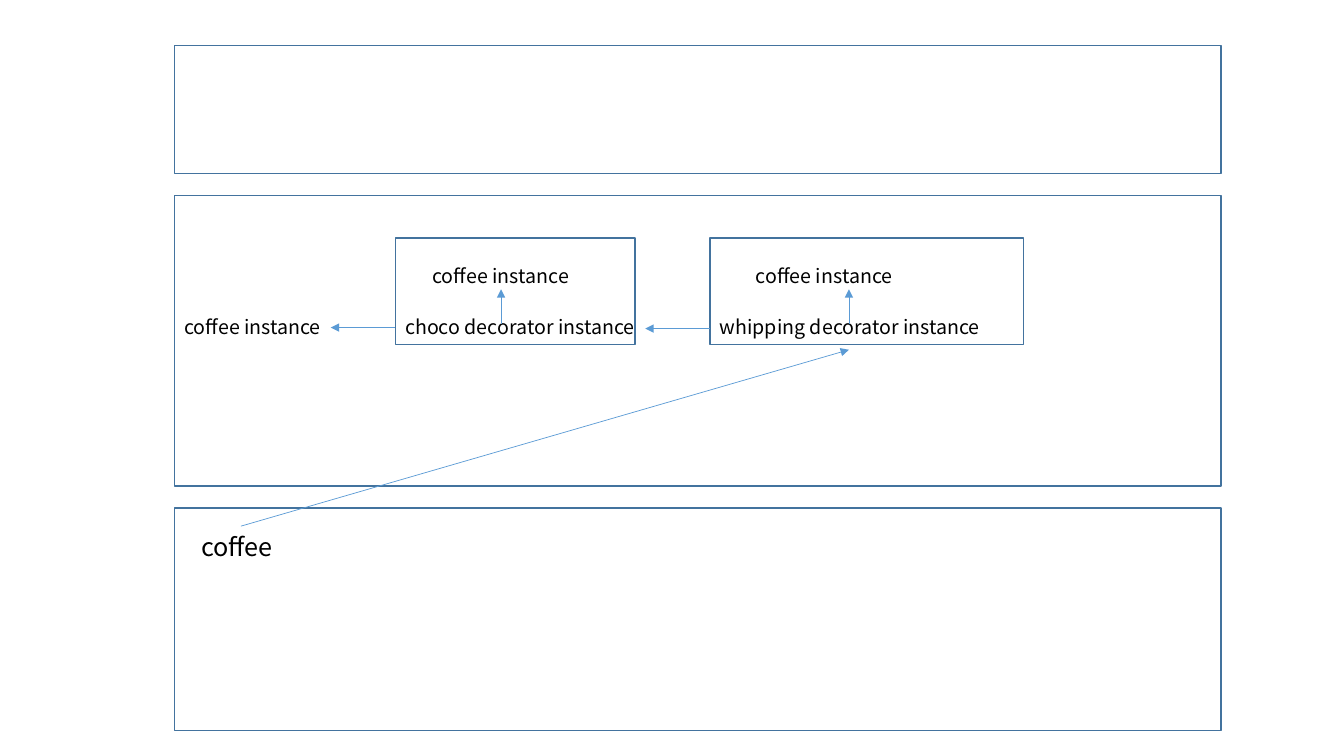
"""Build a slide showing coffee instances wrapped by decorator instances."""
from lxml import etree
from pptx import Presentation
from pptx.dml.color import RGBColor
from pptx.enum.shapes import MSO_CONNECTOR, MSO_SHAPE
from pptx.enum.text import MSO_AUTO_SIZE
from pptx.oxml.ns import qn
from pptx.util import Inches, Pt

RECTANGLE = MSO_SHAPE.RECTANGLE
STRAIGHT = MSO_CONNECTOR.STRAIGHT
FIT_SHAPE = MSO_AUTO_SIZE.SHAPE_TO_FIT_TEXT
FONT = "Noto Sans CJK KR"


def add_label(shapes, text, left, top, width, height=0.34, size=14):
    label = shapes.add_textbox(Inches(left), Inches(top), Inches(width), Inches(height))
    frame = label.text_frame
    frame.word_wrap = True
    frame.auto_size = FIT_SHAPE
    frame.text = text
    span = frame.paragraphs[0].runs[0]
    span.font.name = FONT
    span.font.size = Pt(size)
    span.font.color.rgb = RGBColor.from_string("000000")
    east_asian = etree.SubElement(span.font._element, qn("a:ea"))
    east_asian.set("typeface", FONT)


def add_arrow(shapes, start_x, start_y, end_x, end_y):
    arrow = shapes.add_connector(
        STRAIGHT, Inches(start_x), Inches(start_y), Inches(end_x), Inches(end_y))
    arrow.line.color.rgb = RGBColor.from_string("5B9BD5")
    arrow.line.width = Pt(0.5)
    etree.SubElement(arrow.line._get_or_add_ln(), qn("a:tailEnd")).set("type", "triangle")
    etree.SubElement(arrow._element.spPr, qn("a:effectLst"))


deck = Presentation()
deck.slide_width = Inches(13.33)
deck.slide_height = Inches(7.5)
page = deck.slides.add_slide(deck.slide_layouts[6])

choco = page.shapes.add_group_shape().shapes
whipping = page.shapes.add_group_shape().shapes

boxes = [
    (page.shapes, 1.73, 0.45, 10.38, 1.27),
    (page.shapes, 1.73, 1.94, 10.38, 2.88),
    (page.shapes, 1.73, 5.04, 10.38, 2.21),
    (choco, 3.92, 2.36, 2.38, 1.06),
    (whipping, 7.04, 2.36, 3.11, 1.06),
]
for shapes, left, top, width, height in boxes:
    box = shapes.add_shape(
        RECTANGLE, Inches(left), Inches(top), Inches(width), Inches(height))
    box.shadow.inherit = False
    box.fill.background()
    box.line.color.rgb = RGBColor.from_string("43739E")
    box.line.width = Pt(1)

add_label(page.shapes, "coffee", 1.9, 5.22, 2.01, 0.4, 18)
add_label(page.shapes, "coffee instance", 1.73, 3.08, 1.56)

decorators = [
    (choco, "choco decorator instance", 3.92, 2.54, 4.19, 1.56),
    (whipping, "whipping decorator instance", 7.04, 3.33, 7.4, 2.04),
]
for shapes, name, left, width, inner_left, inner_width in decorators:
    add_label(shapes, name, left, 3.08, width)
    add_label(shapes, "coffee instance", inner_left, 2.57, inner_width)
    center = inner_left + inner_width / 2
    add_arrow(shapes, center, 3.21, center, 2.87)

add_arrow(page.shapes, 2.39, 5.22, 8.42, 3.47)
add_arrow(page.shapes, 3.92, 3.25, 3.28, 3.25)
add_arrow(page.shapes, 7.04, 3.26, 6.4, 3.26)

deck.save("out.pptx")
